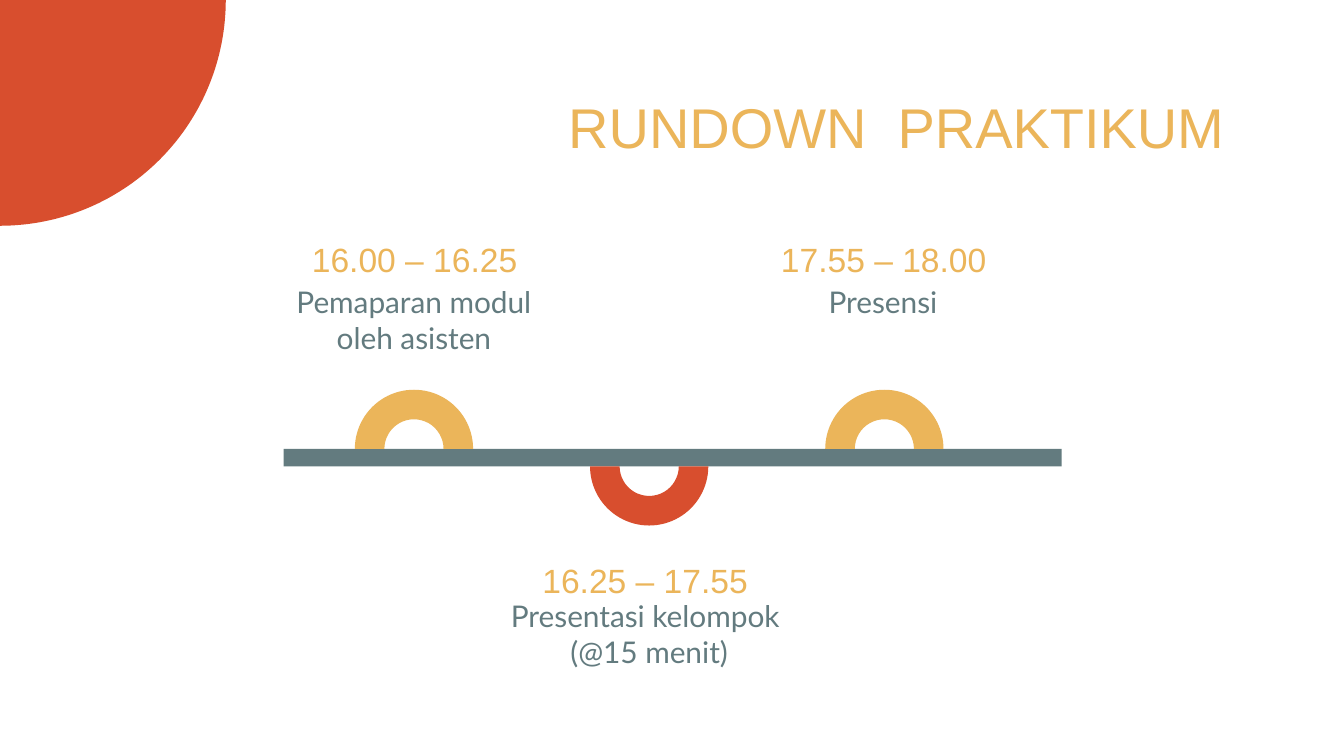
from math import cos, pi, sin

from pptx import Presentation
from pptx.dml.color import RGBColor
from pptx.enum.shapes import MSO_SHAPE
from pptx.enum.text import PP_ALIGN
from pptx.util import Inches, Pt

COLORS = {"red": "D84E2E", "gold": "EBB55A", "slate": "637B7F"}
ARC_SIZE = 0.88
BAR_HEIGHT = 0.13
TIME_HEIGHT = 0.43
TASK_HEIGHT = 0.63

# time, task, task width, label centre, label top, gap from time to task
EVENTS = [
    ("16.00 – 16.25", "Pemaparan modul oleh asisten", 2.01, 3.08, 1.68, 0.33),
    ("16.25 – 17.55 ", "Presentasi kelompok \v(@15 menit)", 2.31, 4.83, 4.07, 0.28),
    ("17.55 – 18.00", "Presensi", 2.01, 6.57, 1.68, 0.33),
]


def paint(s, color):
    s.shadow.inherit = False
    s.fill.solid()
    s.fill.fore_color.rgb = RGBColor.from_string(COLORS[color])
    s.line.fill.background()


def add_text(slide, text, x, y, w, h, font, size, color, align=PP_ALIGN.CENTER):
    tf = slide.shapes.add_textbox(Inches(x), Inches(y), Inches(w), Inches(h)).text_frame
    tf.word_wrap = True
    tf.margin_left = tf.margin_right = tf.margin_top = tf.margin_bottom = Inches(0.1)
    p = tf.paragraphs[0]
    p.text = text
    p.alignment = align
    p.font.name = font
    p.font.size = Pt(size)
    p.font.color.rgb = RGBColor.from_string(COLORS[color])


def add_corner(slide, x, y, radius, steps=90):
    """Quarter disc whose centre is the corner (x, y)."""
    arc = [
        (x + radius * sin(i * pi / 2 / steps), y + radius * cos(i * pi / 2 / steps))
        for i in range(steps + 1)
    ]
    builder = slide.shapes.build_freeform(Inches(x), Inches(y))
    builder.add_line_segments([(Inches(a), Inches(b)) for a, b in arc], close=True)
    paint(builder.convert_to_shape(), "red")


def add_event(slide, time, task, task_width, center, top, gap):
    add_text(slide, task, center - task_width / 2, top + gap, task_width, TASK_HEIGHT,
             "Lato", 16, "slate")
    add_text(slide, time, center - 1, top, 2.01, TIME_HEIGHT, "Arial", 18, "gold")


def add_timeline(slide, x, y, w):
    """Bar with half rings alternating above and below it."""
    bar = slide.shapes.add_shape(
        MSO_SHAPE.RECTANGLE, Inches(x), Inches(y), Inches(w), Inches(BAR_HEIGHT))
    paint(bar, "slate")
    for i in range(len(EVENTS)):
        below = i % 2 == 1
        edge = y + BAR_HEIGHT if below else y
        arc = slide.shapes.add_shape(
            MSO_SHAPE.BLOCK_ARC, Inches(x + 0.53 + 1.75 * i), Inches(edge - ARC_SIZE / 2),
            Inches(ARC_SIZE), Inches(ARC_SIZE))
        arc.adjustments[0] = 108  # 180 degrees
        arc.adjustments[1] = 0
        arc.adjustments[2] = 0.25
        arc.rotation = 180 if below else 0
        paint(arc, "red" if below else "gold")


def main():
    prs = Presentation()
    prs.slide_width = Inches(10)
    prs.slide_height = prs.slide_width * 9 // 16
    slide = prs.slides.add_slide(prs.slide_layouts[6])
    add_corner(slide, 0, 0, 1.68)
    add_text(slide, "RUNDOWN  PRAKTIKUM", 4, 0.59, 5.21, 0.63, "Arial", 30, "gold",
             PP_ALIGN.RIGHT)
    for event in EVENTS:
        add_event(slide, *event)
    add_timeline(slide, 2.11, 3.34, 5.79)
    prs.save("out.pptx")


if __name__ == "__main__":
    main()
